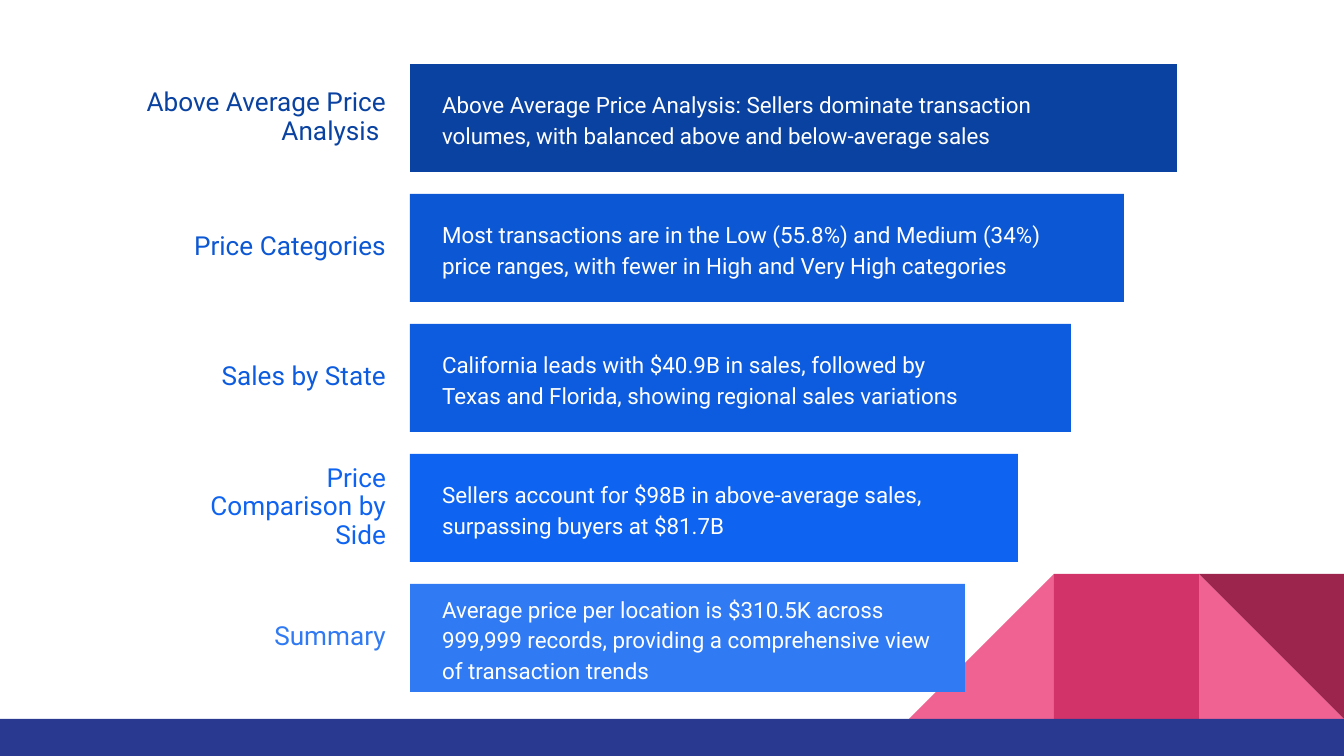
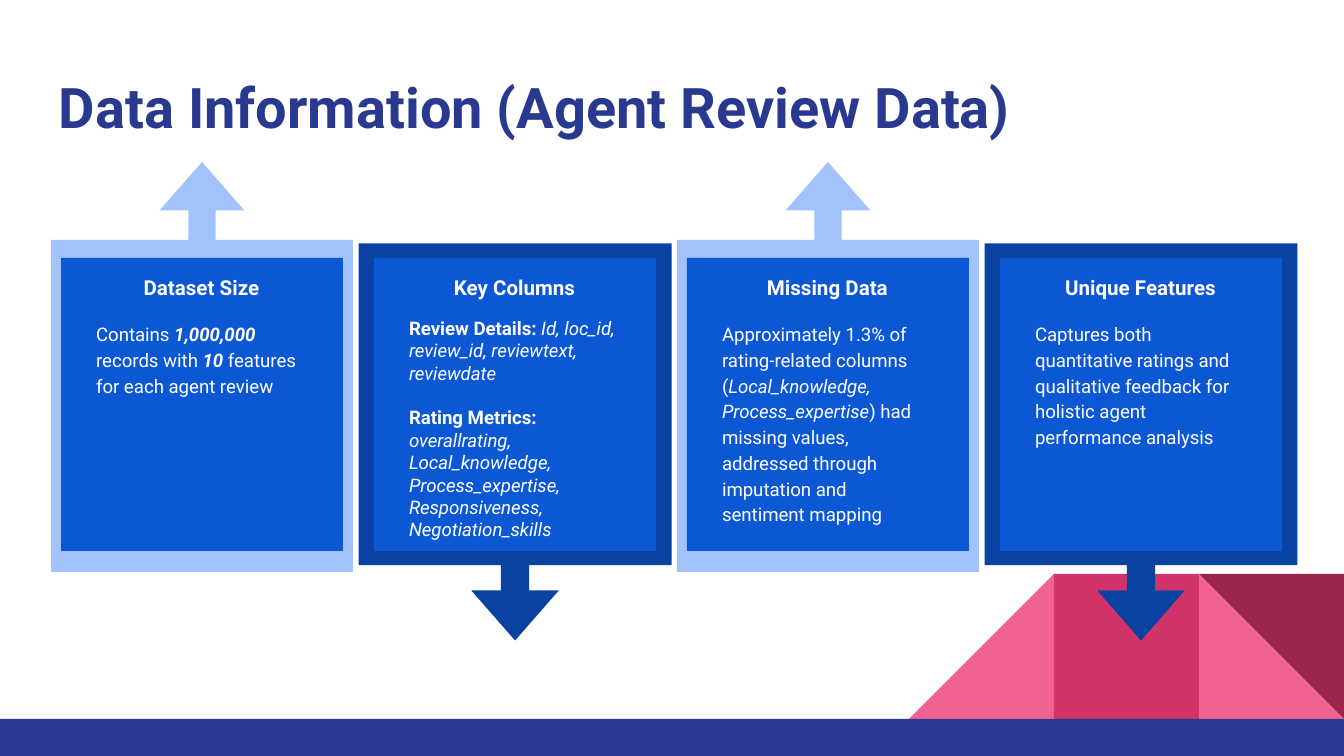
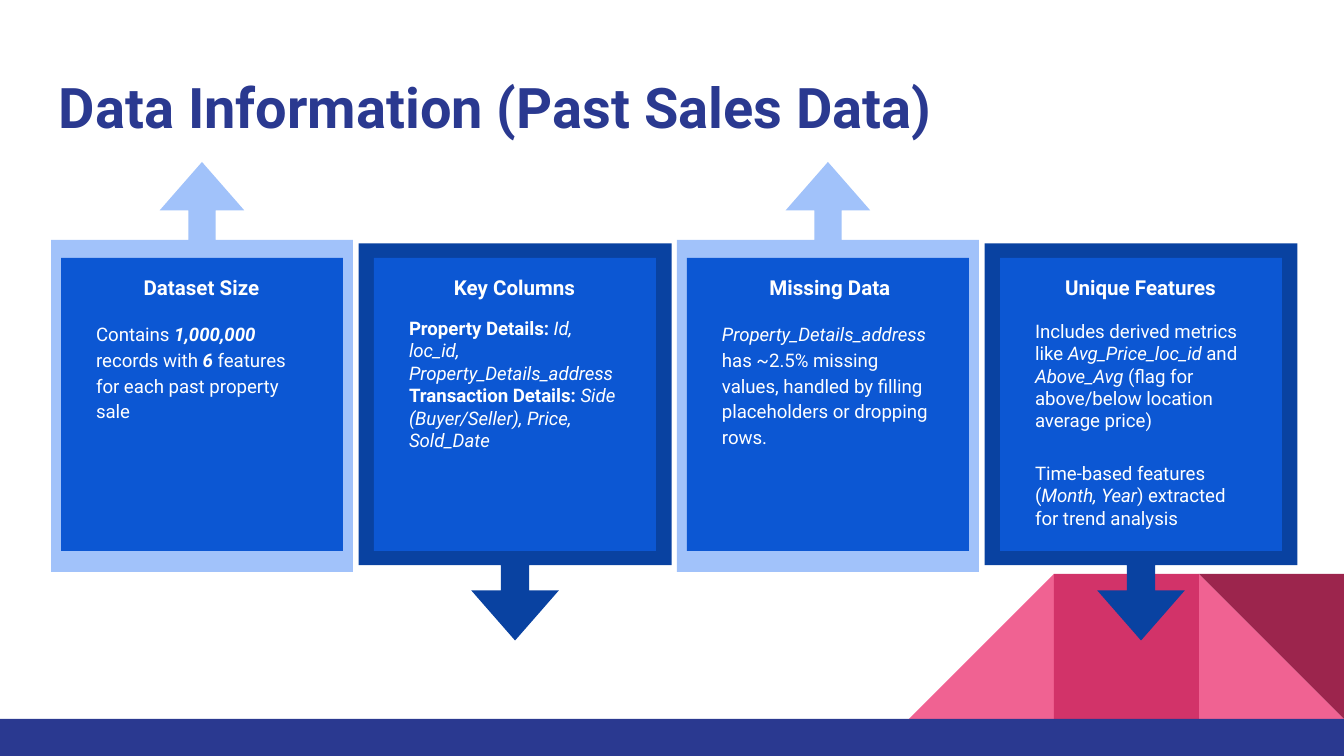
from dataclasses import dataclass

from pptx import Presentation
from pptx.dml.color import RGBColor
from pptx.enum.shapes import MSO_SHAPE
from pptx.enum.text import MSO_ANCHOR, PP_ALIGN
from pptx.util import Pt

RECTANGLE = MSO_SHAPE.RECTANGLE
RIGHT_TRIANGLE = MSO_SHAPE.RIGHT_TRIANGLE
ARROW_CALLOUT = MSO_SHAPE.RIGHT_ARROW_CALLOUT
TOP, MIDDLE = MSO_ANCHOR.TOP, MSO_ANCHOR.MIDDLE
LEFT, CENTER, RIGHT = PP_ALIGN.LEFT, PP_ALIGN.CENTER, PP_ALIGN.RIGHT

SLIDE_WIDTH, SLIDE_HEIGHT = 1344, 756
EMU_PER_PX = 914400 / 134.4


@dataclass(frozen=True)
class Theme:
    font: str = "Roboto"
    white: str = "FFFFFF"
    navy: str = "2A3990"
    pink: str = "F06292"
    rose: str = "D23369"
    wine: str = "9C254D"
    panel: str = "0C57D3"
    dark_frame: str = "0942A1"
    light_frame: str = "A1C2FA"
    bars: tuple = ("0942A1", "0C57D3", "0D5CDF", "0E63F0", "307AF3")
    title_size: int = 30
    label_size: int = 14
    bar_size: int = 12
    heading_size: int = 11
    body_size: int = 10
    tight: float = 0.9
    single: float = 1.0
    loose: float = 1.15


THEME = Theme()


@dataclass
class Column:
    heading: str
    paragraphs: list
    line_spacing: float = THEME.loose
    heading_gap: float = 10.8
    paragraph_gap: float = 0
    text_width: int = 237


FINDINGS = [
    ("Above Average Price Analysis ", 333,
     "Above Average Price Analysis: Sellers dominate transaction volumes, "
     "with balanced above and below-average sales", 700),
    ("Price Categories", 319,
     "Most transactions are in the Low (55.8%) and Medium (34%) price ranges, "
     "with fewer in High and Very High categories", 642),
    ("Sales by State", 309,
     "California leads with $40.9B in sales, followed by Texas and Florida, "
     "showing regional sales variations", 566),
    ("Price Comparison by Side", 224,
     "Sellers account for $98B in above-average sales, "
     "surpassing buyers at $81.7B", 566),
    ("Summary", 224,
     "Average price per location is $310.5K across 999,999 records, "
     "providing a comprehensive view of transaction trends", 515),
]

DATA_SLIDES = [
    ("Data Information (Agent Review Data)", [
        Column("Dataset Size", [
            [("Contains ", ""), ("1,000,000 ", "bi"), ("records with ", ""),
             ("10 ", "bi"), ("features for each agent review", "")],
        ]),
        Column("Key Columns", [
            [("Review Details: ", "b"),
             ("Id, loc_id, review_id, reviewtext, reviewdate", "i")],
            [("Rating Metrics: ", "b"),
             ("overallrating, Local_knowledge, Process_expertise, "
              "Responsiveness, Negotiation_skills", "i")],
        ], THEME.single, heading_gap=9.4, paragraph_gap=11.7),
        Column("Missing Data", [
            [("Approximately 1.3% of rating-related columns (", ""),
             ("Local_knowledge, Process_expertise", "i"),
             (") had missing values, addressed through imputation "
              "and sentiment mapping", "")],
        ]),
        Column("Unique Features", [
            [("Captures both quantitative ratings and qualitative feedback "
              "for holistic agent performance analysis", "")],
        ]),
    ]),
    ("Data Information (Past Sales Data)", [
        Column("Dataset Size", [
            [("Contains ", ""), ("1,000,000", "bi"), (" records with ", ""),
             ("6", "bi"), (" features for each past property sale", "")],
        ]),
        Column("Key Columns", [
            [("Property Details: ", "b"),
             ("Id, loc_id, Property_Details_address", "i")],
            [("Transaction Details: ", "b"),
             ("Side (Buyer/Seller), Price, Sold_Date", "i")],
        ], THEME.single, heading_gap=9.4),
        Column("Missing Data", [
            [("Property_Details_address", "i"),
             (" has ~2.5% missing values, handled by filling placeholders "
              "or dropping rows.", "")],
        ], text_width=242),
        Column("Unique Features", [
            [("Includes derived metrics like ", ""), ("Avg_Price_loc_id", "i"),
             (" and ", ""), ("Above_Avg", "i"),
             (" (flag for above/below location average price)", "")],
            [("Time-based features (", ""), ("Month, Year", "i"),
             (") extracted for trend analysis", "")],
        ], THEME.single, paragraph_gap=16),
    ]),
]


def px(length):
    return round(length * EMU_PER_PX)


def add_block(slide, kind, box, color, rotation=0):
    shape = slide.shapes.add_shape(kind, *map(px, box))
    shape.shadow.inherit = False
    shape.fill.solid()
    shape.fill.fore_color.rgb = RGBColor.from_string(color)
    shape.line.fill.background()
    shape.rotation = rotation
    return shape


def add_frame(slide, box, vertical_inset, anchor=TOP):
    frame = slide.shapes.add_textbox(*map(px, box)).text_frame
    frame.word_wrap = True
    frame.vertical_anchor = anchor
    frame.margin_left = frame.margin_right = px(13)
    frame.margin_top = frame.margin_bottom = px(vertical_inset)
    return frame


def style_paragraph(paragraph, size, color, align=LEFT, spacing=THEME.single):
    paragraph.alignment = align
    paragraph.line_spacing = spacing
    paragraph.font.name = THEME.font
    paragraph.font.size = Pt(size)
    paragraph.font.color.rgb = RGBColor.from_string(color)


def add_text(slide, box, text, size, color, align, spacing):
    paragraph = add_frame(slide, box, 7, MIDDLE).paragraphs[0]
    paragraph.text = text
    style_paragraph(paragraph, size, color, align, spacing)


def add_base_slide(presentation):
    slide = presentation.slides.add_slide(presentation.slide_layouts[6])
    side, band_top = 145, 719
    tiles = [
        (RIGHT_TRIANGLE, 2, THEME.pink, 0),
        (RIGHT_TRIANGLE, 0, THEME.pink, 270),
        (RECTANGLE, 1, THEME.rose, 0),
        (RIGHT_TRIANGLE, 2, THEME.wine, 180),
    ]
    for kind, position, color, rotation in tiles:
        left = SLIDE_WIDTH - (3 - position) * side
        add_block(slide, kind, (left, band_top - side, side, side), color, rotation)
    add_block(slide, RECTANGLE,
              (0, band_top, SLIDE_WIDTH, SLIDE_HEIGHT - band_top), THEME.navy)
    return slide


def add_findings_slide(presentation):
    slide = add_base_slide(presentation)
    label_right, bar_left, text_left = 399, 410, 429
    for index, (label, label_width, text, text_width) in enumerate(FINDINGS):
        color = THEME.bars[index]
        top = 64 + 130 * index
        add_text(slide, (label_right - label_width, top + 7, label_width, 93),
                 label, THEME.label_size, color, RIGHT, THEME.tight)
        add_block(slide, RECTANGLE, (bar_left, top, 767 - 53 * index, 108), color)
        add_text(slide, (text_left, top + 30, text_width, 48),
                 text, THEME.bar_size, THEME.white, LEFT, THEME.loose)


def add_column(slide, index, column):
    center = 202 + 313 * index
    if index % 2:
        length, breadth, middle, rotation, color = 397, 313, 442, 90, THEME.dark_frame
    else:
        length, breadth, middle, rotation, color = 410, 302, 367, 270, THEME.light_frame
    callout = add_block(slide, ARROW_CALLOUT,
                        (center - length / 2, middle - breadth / 2, length, breadth),
                        color, rotation)
    for position, value in enumerate((0.09, 0.14, 0.16, 0.81)):
        callout.adjustments[position] = value
    add_block(slide, RECTANGLE, (center - 141, 258, 282, 293), THEME.panel)

    frame = add_frame(slide, (center - 119, 258, column.text_width, 262), 13)
    heading = frame.paragraphs[0]
    heading.text = column.heading
    style_paragraph(heading, THEME.heading_size, THEME.white, CENTER, THEME.loose)
    heading.font.bold = True
    heading.space_after = Pt(column.heading_gap)
    for number, runs in enumerate(column.paragraphs):
        paragraph = frame.add_paragraph()
        style_paragraph(paragraph, THEME.body_size, THEME.white,
                        spacing=column.line_spacing)
        if number:
            paragraph.space_before = Pt(column.paragraph_gap)
        for text, emphasis in runs:
            run = paragraph.add_run()
            run.text = text
            run.font.bold = "b" in emphasis
            run.font.italic = "i" in emphasis


def add_data_slide(presentation, title, columns):
    slide = add_base_slide(presentation)
    paragraph = add_frame(slide, (46, 60, 1253, 89), 13).paragraphs[0]
    paragraph.text = title
    style_paragraph(paragraph, THEME.title_size, THEME.navy)
    paragraph.font.bold = True
    for index, column in enumerate(columns):
        add_column(slide, index, column)


def main():
    presentation = Presentation()
    presentation.slide_width = px(SLIDE_WIDTH)
    presentation.slide_height = px(SLIDE_HEIGHT)
    add_findings_slide(presentation)
    for title, columns in DATA_SLIDES:
        add_data_slide(presentation, title, columns)
    presentation.save("out.pptx")


if __name__ == "__main__":
    main()
